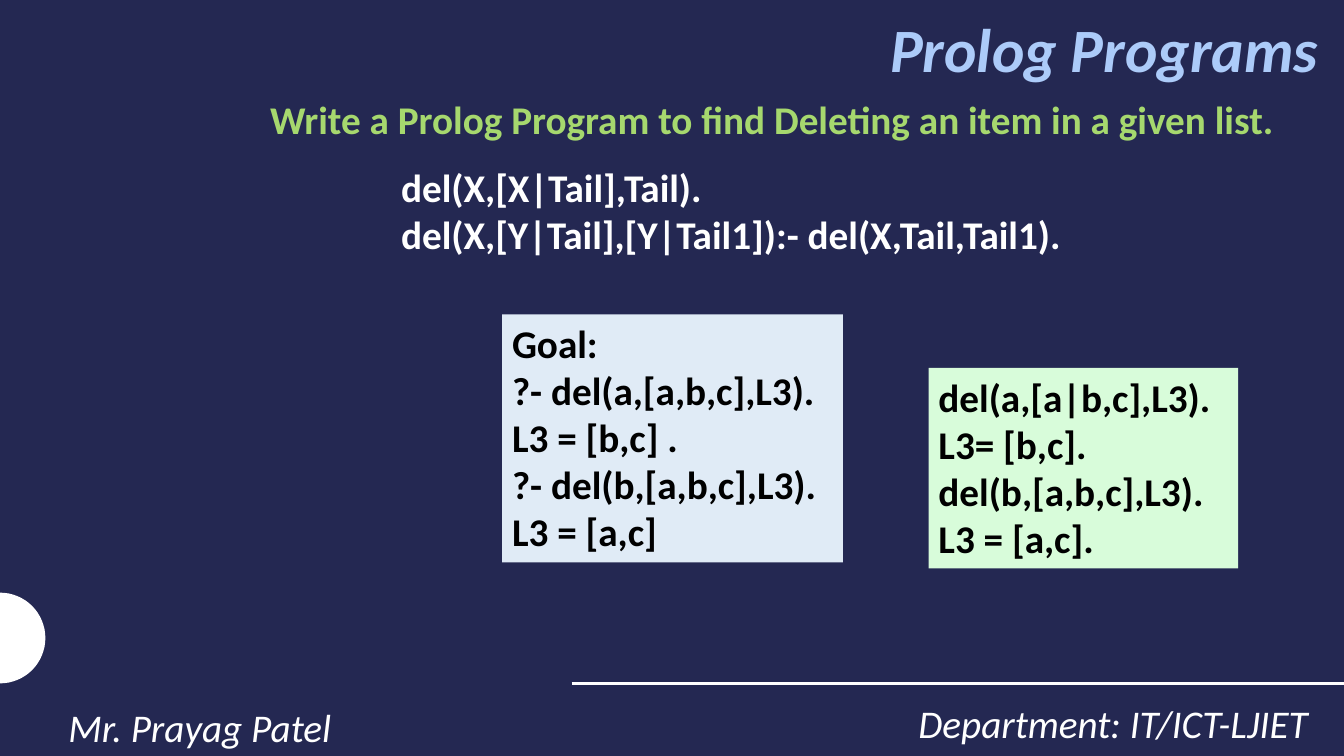
from collections import namedtuple
from dataclasses import dataclass
from math import cos, pi, sin

from lxml import etree
from pptx import Presentation, util as u
from pptx.dml.color import RGBColor
from pptx.enum import shapes, text
from pptx.oxml import ns

Box = namedtuple("Box", "left top width height")


@dataclass(frozen=True)
class Theme:
    """Colours, font and type sizes of the slide."""
    navy: str = "242852"
    white: str = "FFFFFF"
    black: str = "000000"
    sky: str = "ACCBF9"
    lime: str = "A6D86E"
    pale_blue: str = "E0EBF6"
    pale_green: str = "D8FCDA"
    font: str = "Calibri"
    title_size: int = 44
    body_size: int = 28
    rule_width: int = 2


THEME = Theme()
RULES = ["del(X,[X|Tail],Tail).", "del(X,[Y|Tail],[Y|Tail1]):- del(X,Tail,Tail1)."]
GOAL = ["Goal:", "?- del(a,[a,b,c],L3).", "L3 = [b,c] .", "?- del(b,[a,b,c],L3).", "L3 = [a,c]"]
TRACE = ["del(a,[a|b,c],L3).", "L3= [b,c].", "del(b,[a,b,c],L3).", "L3 = [a,c]."]


def inches(box):
    """Turn a box in inches into lengths."""
    return [u.Inches(length) for length in box]


def fill_solid(fill, colour):
    """Give a fill one colour."""
    fill.solid()
    fill.fore_color.rgb = RGBColor.from_string(colour)


def add_text(page, box, lines, colour, size=THEME.body_size, bold=False, italic=False,
             align=text.PP_ALIGN.LEFT, anchor=text.MSO_ANCHOR.TOP, spacing=1.0, panel=None):
    """Place lines of text in a box, on a coloured panel if one is given."""
    if panel:
        shape = page.shapes.add_shape(shapes.MSO_SHAPE.RECTANGLE, *inches(box))
        shape.shadow.inherit = False
        fill_solid(shape.fill, panel)
        shape.line.fill.background()
    else:
        shape = page.shapes.add_textbox(*inches(box))
    frame = shape.text_frame
    frame.word_wrap = True
    frame.vertical_anchor = anchor
    frame.text = "\n".join(lines)
    font_format = {"name": THEME.font, "size": u.Pt(size), "bold": bold, "italic": italic}
    for para in frame.paragraphs:
        para.alignment = align
        para.line_spacing = spacing
        for span in para.runs:
            for name, value in font_format.items():
                setattr(span.font, name, value)
            span.font.color.rgb = RGBColor.from_string(colour)


def add_half_disc(page, box):
    """Draw a half disc whose flat side is the left edge of the box."""
    radius = box.height / 2
    angles = [pi * step / 32 - pi / 2 for step in range(33)]
    points = [(u.Inches(box.left + box.width * cos(angle)),
               u.Inches(box.top + radius + radius * sin(angle))) for angle in angles]
    builder = page.shapes.build_freeform(*points[0])
    builder.add_line_segments(points[1:], close=True)
    disc = builder.convert_to_shape()
    disc.shadow.inherit = False
    fill_solid(disc.fill, THEME.white)
    disc.line.fill.background()


def add_header(page, box):
    """Place the title and the exercise at the top of the slide."""
    middle = text.MSO_ANCHOR.MIDDLE
    add_text(page, Box(box.left, box.top, box.width, 0.9), ["Prolog Programs"], THEME.sky,
             size=THEME.title_size, bold=True, italic=True,
             align=text.PP_ALIGN.RIGHT, anchor=middle)
    add_text(page, Box(box.left + 0.46, box.top + 0.83, 10.32, 0.63),
             ["Write a Prolog Program to find Deleting an item in a given list."],
             THEME.lime, bold=True, anchor=middle)


def add_program(page, box):
    """Place the rules, the goal panel and the trace panel."""
    add_text(page, Box(box.left, box.top, box.width, 1.04), RULES, THEME.white, bold=True)
    add_text(page, Box(box.left + 1.1, box.top + 1.55, 3.38, 2.46), GOAL, THEME.black,
             bold=True, panel=THEME.pale_blue)
    add_text(page, Box(box.left + 5.33, box.top + 2.08, 3.07, 1.99), TRACE, THEME.black,
             bold=True, panel=THEME.pale_green)


def add_footer(page, box):
    """Place the half disc, the rule, the department and the author."""
    add_half_disc(page, Box(box.left, box.top, 0.45, 0.9))
    rule_top = box.top + 0.9
    rule = page.shapes.add_connector(
        shapes.MSO_CONNECTOR.STRAIGHT,
        *inches((box.left + 5.67, rule_top, box.left + box.width, rule_top)))
    rule.line.color.rgb = RGBColor.from_string(THEME.white)
    rule.line.width = u.Pt(THEME.rule_width)
    etree.SubElement(rule._element.spPr, ns.qn("a:effectLst"))
    add_text(page, Box(box.left + 8.08, box.top + 0.94, 4.99, 0.63),
             ["Department: IT/ICT-LJIET"], THEME.white, italic=True,
             align=text.PP_ALIGN.RIGHT, spacing=1.14)
    add_text(page, Box(box.left + 0.58, box.top + 0.98, 7.5, 0.63),
             ["Mr. Prayag Patel"], THEME.white, italic=True, spacing=1.14)


def main():
    """Build the slide and save the deck."""
    deck = Presentation()
    deck.slide_width, deck.slide_height = u.Inches(13.33), u.Inches(7.5)
    page = deck.slides.add_slide(deck.slide_layouts[6])
    fill_solid(page.background.fill, THEME.navy)
    add_footer(page, Box(0, 5.88, 13.33, 1.62))
    add_header(page, Box(2.12, 0.03, 11.06, 1.46))
    add_program(page, Box(3.88, 1.57, 9.45, 4.07))
    deck.save("out.pptx")


if __name__ == "__main__":
    main()
